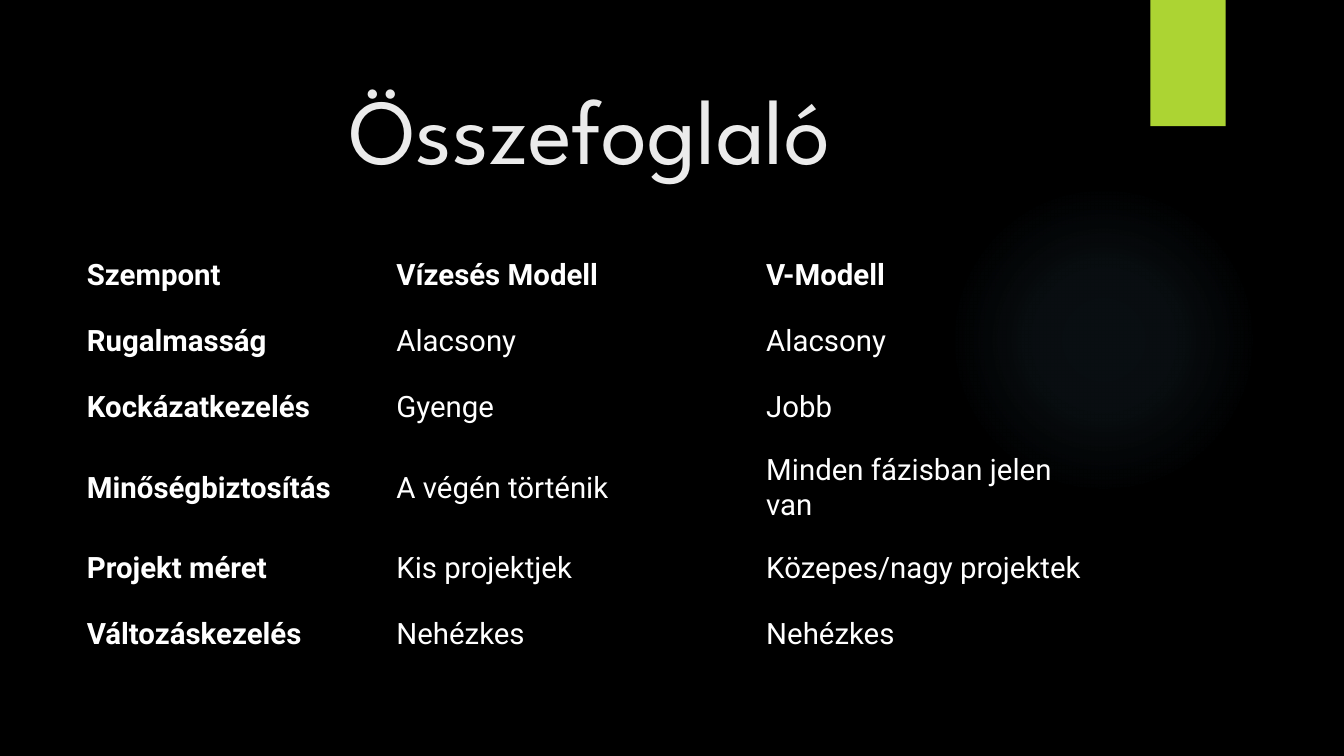
from lxml import etree
from pptx import Presentation
from pptx.dml.color import RGBColor
from pptx.enum.shapes import MSO_SHAPE
from pptx.enum.text import MSO_ANCHOR, PP_ALIGN
from pptx.oxml import parse_xml
from pptx.oxml.ns import qn
from pptx.util import Cm, Pt

OVAL, RECT = MSO_SHAPE.OVAL, MSO_SHAPE.RECTANGLE
MIDDLE, CENTER = MSO_ANCHOR.MIDDLE, PP_ALIGN.CENTER
NS = "http://schemas.openxmlformats.org/drawingml/2006/main"

ROWS = [
    ("Szempont", "Vízesés Modell", "V-Modell"),
    ("Rugalmasság", "Alacsony", "Alacsony"),
    ("Kockázatkezelés", "Gyenge", "Jobb"),
    ("Minőségbiztosítás", "A végén történik", "Minden fázisban jelen van"),
    ("Projekt méret", "Kis projektjek", "Közepes/nagy projektek"),
    ("Változáskezelés", "Nehézkes", "Nehézkes"),
]


def color(code):
    return RGBColor.from_string(code)


def style(par, face, size, code, bold=False):
    font = par.font
    font.name, font.size, font.bold = face, Pt(size), bold
    font.color.rgb = color(code)


def add_shape(slide, kind, box, code):
    shape = slide.shapes.add_shape(kind, *map(Cm, box))
    shape.shadow.inherit = False
    shape.fill.solid()
    shape.fill.fore_color.rgb = color(code)
    shape.line.fill.background()
    return shape


def add_glow(slide, box, code):
    glow = add_shape(slide, OVAL, box, code)
    stops = "".join(
        f'<a:gs pos="{pos * 1000}"><a:srgbClr val="{code}">'
        f'<a:alpha val="{alpha * 1000}"/></a:srgbClr></a:gs>'
        for pos, alpha in ((0, 7), (36, 6), (69, 0), (100, 0))
    )
    fill = parse_xml(
        f'<a:gradFill xmlns:a="{NS}" rotWithShape="1"><a:gsLst>{stops}</a:gsLst>'
        '<a:path path="circle"><a:fillToRect l="50000" t="50000" r="50000" b="50000"/>'
        '</a:path></a:gradFill>'
    )
    props = glow.element.spPr
    props.replace(props.find(qn("a:solidFill")), fill)


def add_title(slide, box, text):
    frame = slide.shapes.add_textbox(*map(Cm, box)).text_frame
    frame.word_wrap = True
    frame.vertical_anchor = MIDDLE
    par = frame.paragraphs[0]
    par.text = text
    par.alignment = CENTER
    style(par, "League Spartan", 66, "EBEBEB")


def clear_cell(cell):
    cell.fill.background()
    props = cell._tc.get_or_add_tcPr()
    for spot, side in enumerate("LRTB"):
        line = etree.Element(qn(f"a:ln{side}"), w="0")
        etree.SubElement(line, qn("a:noFill"))
        props.insert(spot, line)


def add_grid(slide, box, rows, widths):
    frame = slide.shapes.add_table(len(rows), len(widths), *map(Cm, box))
    table = frame.table
    table.first_row = table.horz_banding = False
    for col, width in zip(table.columns, widths):
        col.width = Cm(width)
    for r, words in enumerate(rows):
        table.rows[r].height = Cm(box[3] / len(rows))
        for c, text in enumerate(words):
            cell = table.cell(r, c)
            clear_cell(cell)
            cell.vertical_anchor = MIDDLE
            cell.margin_left = Cm(0.5 if c else 0.3)
            cell.margin_right = Cm(0.5)
            cell.margin_top = cell.margin_bottom = Cm(0.3)
            par = cell.text_frame.paragraphs[0]
            par.text = text
            style(par, "Roboto", 21, "FFFFFF", r == 0 or c == 0)


def main():
    deck = Presentation()
    deck.slide_width, deck.slide_height = Cm(33.87), Cm(19.05)
    slide = deck.slides.add_slide(deck.slide_layouts[6])
    back = slide.background.fill
    back.solid()
    back.fore_color.rgb = color("000000")
    add_glow(slide, (23.9, 4.65, 7.82, 7.82), "7AC4F0")
    add_shape(slide, RECT, (28.99, 0, 1.9, 3.18), "ACD433")
    add_title(slide, (1.8, 1.27, 26.14, 3.89), "Összefoglaló")
    add_grid(slide, (1.89, 6.1, 26.24, 10.02), ROWS, (7.6, 9.32, 9.32))
    deck.save("out.pptx")


if __name__ == "__main__":
    main()
